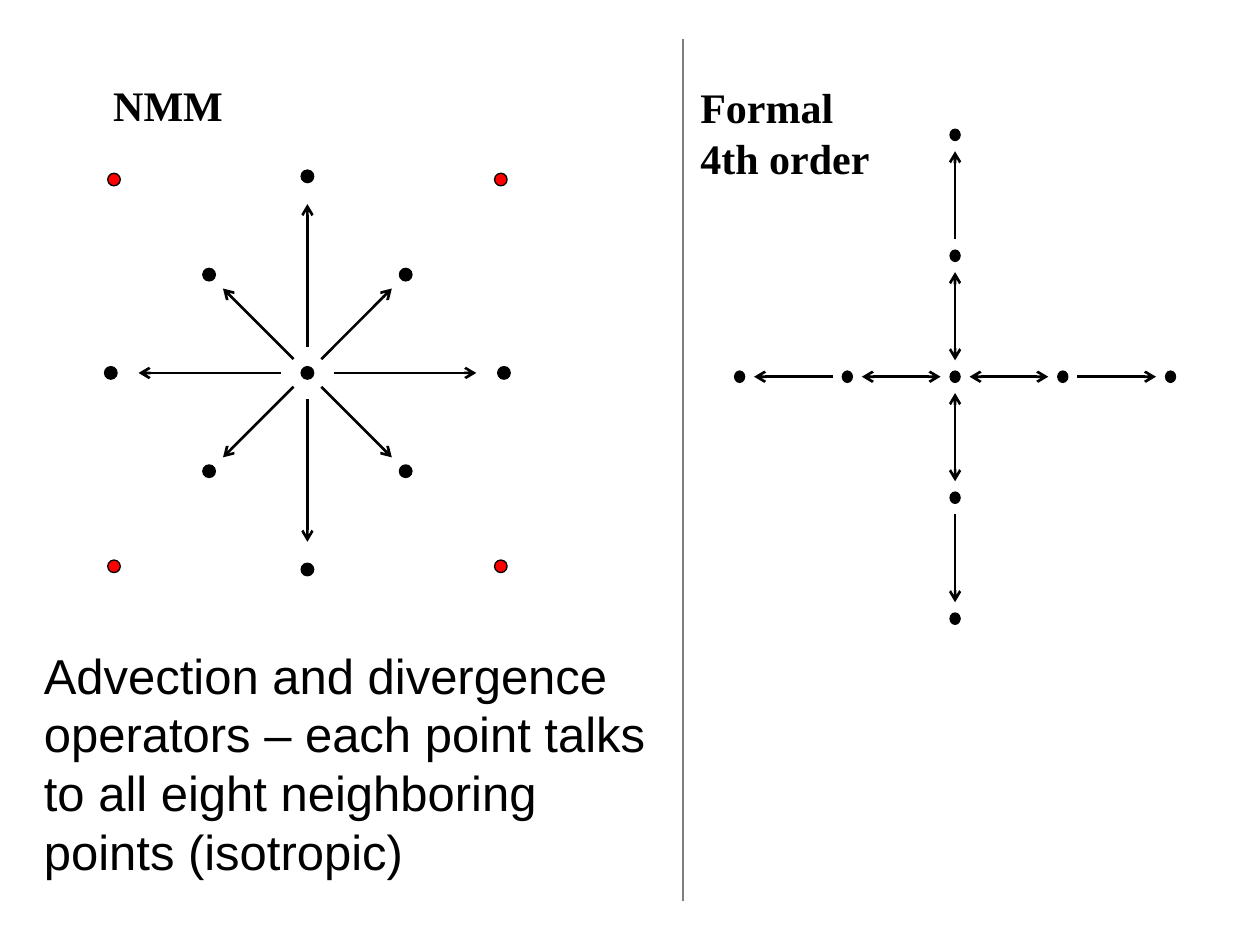
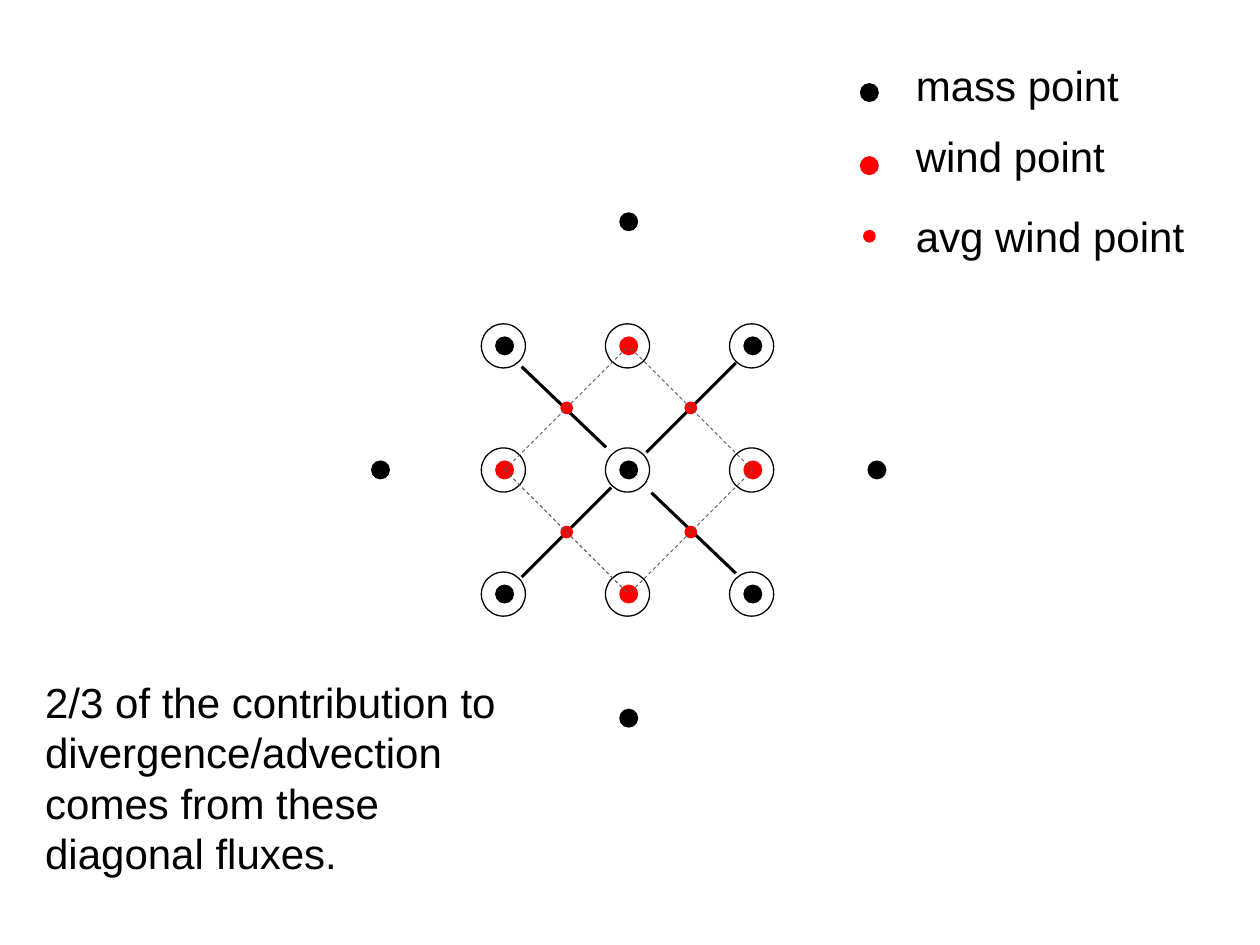
from dataclasses import dataclass
from itertools import product

from pptx import Presentation
from pptx.dml.color import RGBColor
from pptx.enum.dml import MSO_LINE
from pptx.enum.shapes import MSO_CONNECTOR, MSO_SHAPE
from pptx.oxml.ns import qn
from pptx.util import Inches, Pt
from lxml.etree import SubElement


@dataclass(frozen=True)
class Theme:
    """Colours, fonts and sizes of both slides."""

    black: RGBColor = RGBColor(0, 0, 0)
    red: RGBColor = RGBColor(255, 0, 0)
    grey: RGBColor = RGBColor(128, 128, 128)
    dark: RGBColor = RGBColor(89, 89, 89)
    sans: str = "Arial"
    serif: str = "Times New Roman"
    large: int = 28
    medium: int = 24
    edge: float = 0.75
    thin: float = 0.5
    rule: float = 1
    arrow: float = 1.5
    flux: float = 1.75


THEME = Theme()
SIDES = [(1, 0), (-1, 0), (0, 1), (0, -1)]
CORNERS = list(product((-1, 1), repeat=2))


def shift(mid, dx, dy):
    """Return the point at an offset from mid."""
    return mid[0] + dx, mid[1] + dy


def add_text(slide, text, left, top, width, height, *, size=THEME.medium,
             font=THEME.sans, color=THEME.black, bold=False):
    """Add a wrapped text box."""
    box = slide.shapes.add_textbox(*map(Inches, (left, top, width, height)))
    frame = box.text_frame
    frame.word_wrap = True
    run = frame.paragraphs[0].add_run()
    run.text = text
    run.font.size = Pt(size)
    run.font.name = font
    run.font.bold = bold
    run.font.color.rgb = color


def add_dot(slide, mid, width, height=None, *, fill=None, edge=THEME.black):
    """Add an ellipse centred on a point; without a fill it is a ring."""
    height = height or width
    left, top = shift(mid, -width / 2, -height / 2)
    dot = slide.shapes.add_shape(
        MSO_SHAPE.OVAL, *map(Inches, (left, top, width, height)))
    dot.shadow.inherit = False
    if fill is None:
        dot.fill.background()
    else:
        dot.fill.solid()
        dot.fill.fore_color.rgb = fill
    dot.line.color.rgb = edge
    dot.line.width = Pt(THEME.edge)


def add_line(slide, start, end, *, color=THEME.black, width=THEME.arrow,
             dash=False, heads=()):
    """Add a straight line with arrowheads at the ends named in heads."""
    line = slide.shapes.add_connector(
        MSO_CONNECTOR.STRAIGHT, *map(Inches, (*start, *end)))
    line.line.color.rgb = color
    line.line.width = Pt(width)
    if dash:
        line.line.dash_style = MSO_LINE.DASH
    props = line.element.spPr
    for head in heads:
        SubElement(props.find(qn("a:ln")), qn(f"a:{head}"), type="arrow")
    SubElement(props, qn("a:effectLst"))


def draw_star(slide, mid):
    """Draw the eight-neighbour stencil."""
    size = 0.1
    add_dot(slide, mid, size, fill=THEME.black)
    for ways, far, start, end in ((SIDES, 1.56, 0.21, 1.34),
                                  (CORNERS, 0.78, 0.11, 0.67)):
        for x, y in ways:
            add_dot(slide, shift(mid, x * far, y * far), size,
                    fill=THEME.black)
            add_line(slide, shift(mid, x * start, y * start),
                     shift(mid, x * end, y * end), heads=["tailEnd"])
    for x, y in CORNERS:
        add_dot(slide, shift(mid, x * 1.535, y * 1.535), size, fill=THEME.red)


def draw_cross(slide, mid):
    """Draw the fourth-order stencil, two steps out on each side."""
    size = 0.08, 0.09
    add_dot(slide, mid, *size, fill=THEME.black)
    for x, y in SIDES:
        step, gap, span = (0.855, 0.115, 0.625) if x else (0.96, 0.13, 0.7)
        for ring, heads in enumerate((["headEnd", "tailEnd"], ["tailEnd"])):
            far = step * (ring + 1)
            start = step * ring + gap
            end = start + span
            add_dot(slide, shift(mid, x * far, y * far), *size,
                    fill=THEME.black)
            add_line(slide, shift(mid, x * start, y * start),
                     shift(mid, x * end, y * end), heads=heads)


def draw_grid(slide, mid):
    """Draw the ringed grid with its diagonal fluxes and wind diamond."""
    step = 0.985
    for x, y in product((-1, 0, 1), repeat=2):
        spot = shift(mid, x * step, y * step)
        color = THEME.red if (x + y) % 2 else THEME.black
        add_dot(slide, spot, 0.14, fill=color, edge=color)
        add_dot(slide, shift(spot, -0.01, 0), 0.35)
    for x, y in SIDES:
        add_dot(slide, shift(mid, 2 * x * step, 2 * y * step), 0.14,
                fill=THEME.black)
    for x, y in CORNERS:
        start, end = (0.18, (0.85, 0.82)) if x == y else (0.14, (0.85, 0.85))
        add_line(slide, shift(mid, x * start, y * start),
                 shift(mid, x * end[0], y * end[1]), width=THEME.flux)
        add_dot(slide, shift(mid, x * step / 2, y * step / 2), 0.09,
                fill=THEME.red, edge=THEME.red)
        add_line(slide, shift(mid, x * step, 0), shift(mid, 0, y * step),
                 color=THEME.dark, width=THEME.thin, dash=True)


def draw_key(slide):
    """Draw the key of point kinds."""
    rows = [("mass point", 0.42, 0.735, 0.14, THEME.black),
            ("wind point", 0.99, 1.315, 0.14, THEME.red),
            ("avg wind point", 1.62, 1.875, 0.09, THEME.red)]
    for label, top, y, size, color in rows:
        add_dot(slide, (6.9, y), size, fill=color, edge=color)
        add_text(slide, label, 7.17, top, 2.5, 0.5)


def main():
    """Build both slides and save them."""
    deck = Presentation()
    deck.slide_width, deck.slide_height = Inches(10), Inches(7.5)
    blank = deck.slide_layouts[6]

    slide = deck.slides.add_slide(blank)
    draw_cross(slide, (7.58, 2.99))
    add_text(slide, "Formal 4th order", 5.46, 0.6, 1.69, 0.93,
             font=THEME.serif, bold=True)
    add_text(slide, "NMM", 0.8, 0.58, 1.42, 0.54,
             font=THEME.serif, bold=True)
    draw_star(slide, (2.44, 2.96))
    add_text(slide, "Advection and divergence operators – each point talks "
             "to all eight neighboring points (isotropic)",
             0.25, 5.07, 5.12, 1.99, size=THEME.large)
    add_line(slide, (5.42, 0.31), (5.42, 7.15), color=THEME.grey,
             width=THEME.rule)

    slide = deck.slides.add_slide(blank)
    draw_grid(slide, (4.99, 3.73))
    draw_key(slide)
    add_text(slide, "2/3 of the contribution to divergence/advection comes "
             "from these diagonal fluxes.", 0.26, 5.32, 3.88, 1.72)

    deck.save("out.pptx")


if __name__ == "__main__":
    main()
